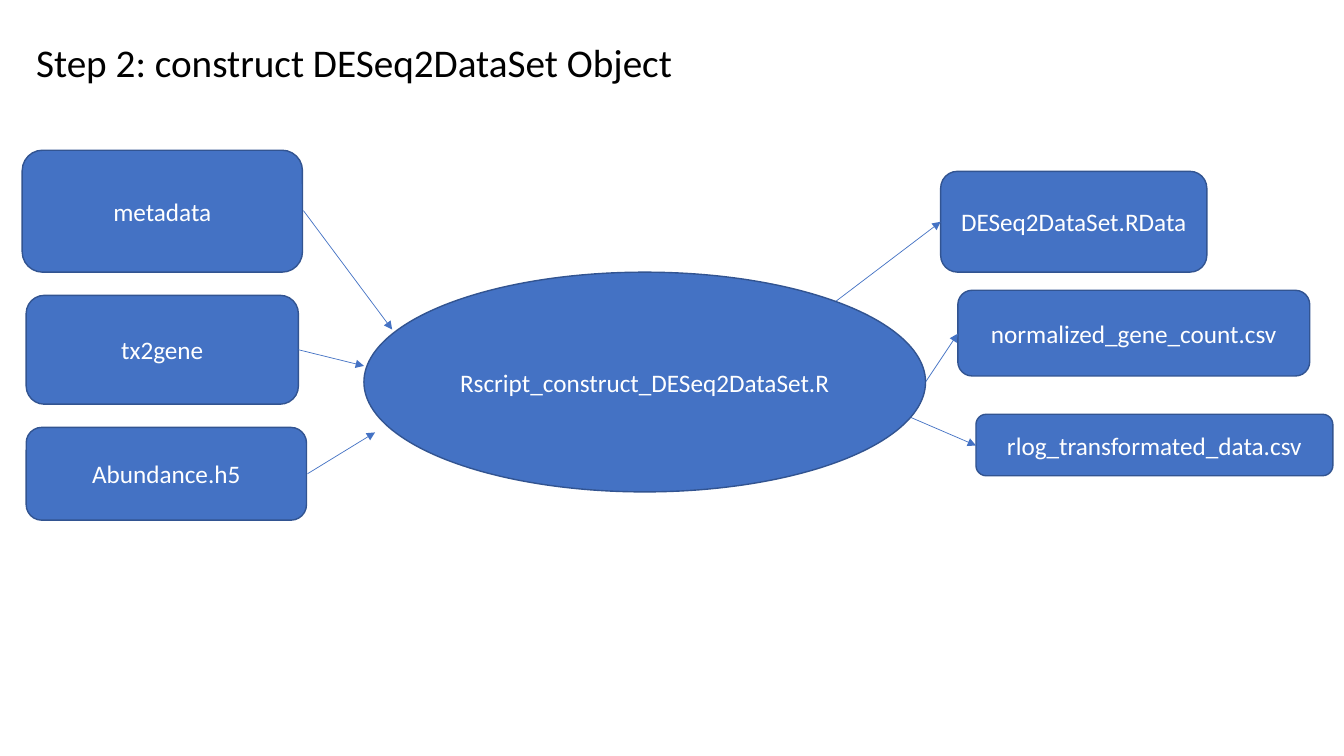
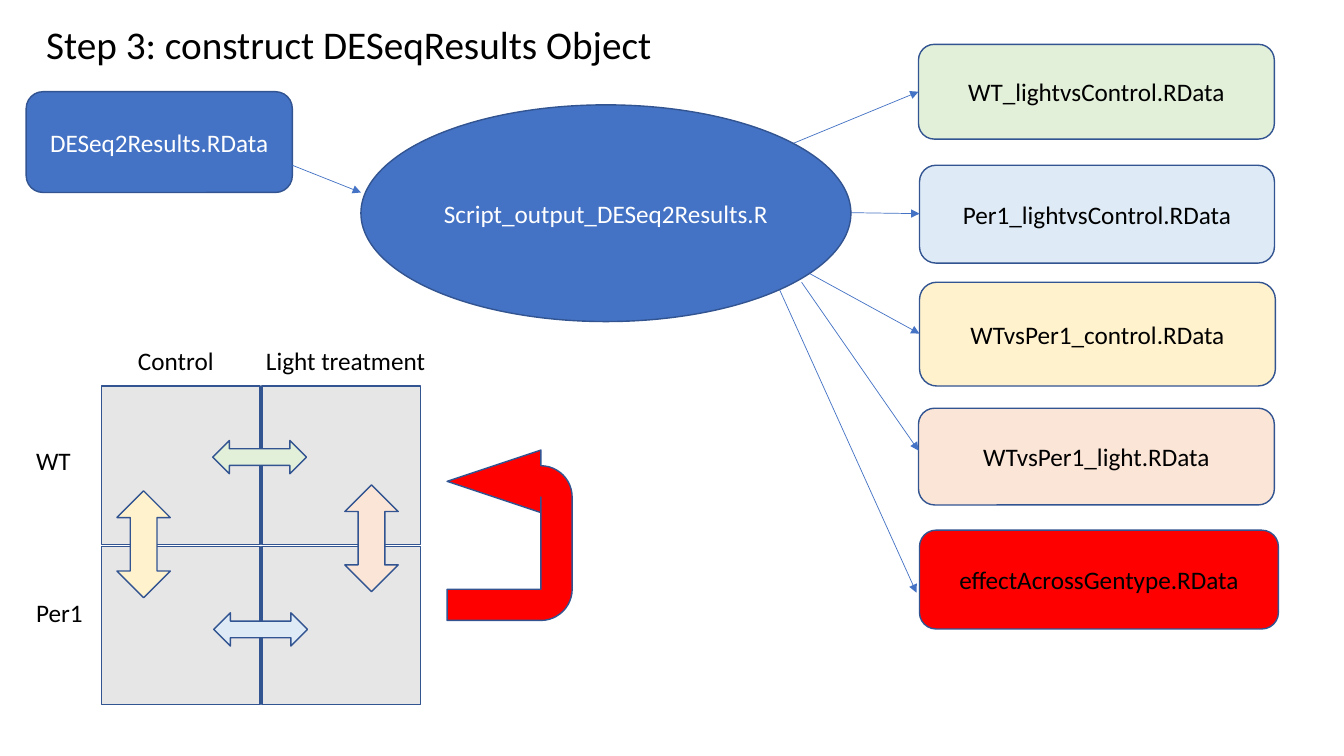
from pptx import Presentation
from pptx.dml.color import RGBColor
from pptx.enum.shapes import MSO_CONNECTOR, MSO_SHAPE
from pptx.enum.text import MSO_ANCHOR, MSO_AUTO_SIZE, PP_ALIGN
from pptx.oxml.ns import qn
from pptx.util import Pt
from lxml.etree import SubElement

EMU_PER_PX = 9144
FONT = "Calibri"

BLACK = RGBColor(0x00, 0x00, 0x00)
WHITE = RGBColor(0xFF, 0xFF, 0xFF)
BLUE = RGBColor(0x44, 0x72, 0xC4)
OUTLINE = RGBColor(0x32, 0x54, 0x91)
GRAY = RGBColor(0xE7, 0xE6, 0xE6)
GREEN = RGBColor(0xE2, 0xF0, 0xD9)
PALE_BLUE = RGBColor(0xDE, 0xEB, 0xF7)
YELLOW = RGBColor(0xFF, 0xF2, 0xCC)
PEACH = RGBColor(0xFB, 0xE5, 0xD6)
RED = RGBColor(0xFF, 0x00, 0x00)


def emu(*lengths):
    return [length * EMU_PER_PX for length in lengths]


def write_text(shape, text, size=18, color=BLACK, align=PP_ALIGN.LEFT,
               anchor=MSO_ANCHOR.TOP, line_spacing=None):
    frame = shape.text_frame
    frame.word_wrap = True
    frame.vertical_anchor = anchor
    paragraph = frame.paragraphs[0]
    paragraph.alignment = align
    paragraph.line_spacing = line_spacing
    run = paragraph.add_run()
    run.text = text
    run.font.name = FONT
    run.font.size = Pt(size)
    run.font.color.rgb = color


def add_title(slide, text, left, top):
    shape = slide.shapes.add_textbox(*emu(left, top, 763, 48))
    write_text(shape, text, size=28, line_spacing=0.9)


def add_label(slide, text, left, top, width):
    shape = slide.shapes.add_textbox(*emu(left, top, width, 40))
    write_text(shape, text)
    shape.text_frame.auto_size = MSO_AUTO_SIZE.SHAPE_TO_FIT_TEXT


def add_figure(slide, kind, bounds, fill=BLUE):
    shape = slide.shapes.add_shape(kind, *emu(*bounds))
    shape.shadow.inherit = False
    shape.fill.solid()
    shape.fill.fore_color.rgb = fill
    shape.line.color.rgb = OUTLINE
    shape.line.width = Pt(1)
    return shape


def add_node(slide, text, bounds, fill=BLUE, kind=MSO_SHAPE.ROUNDED_RECTANGLE):
    shape = add_figure(slide, kind, bounds, fill)
    write_text(shape, text, color=WHITE if fill == BLUE else BLACK,
               align=PP_ALIGN.CENTER, anchor=MSO_ANCHOR.MIDDLE)


def add_arrow(slide, start, end):
    connector = slide.shapes.add_connector(
        MSO_CONNECTOR.STRAIGHT, *emu(*start, *end))
    connector.line.color.rgb = BLUE
    connector.line.width = Pt(0.5)
    SubElement(connector.line._get_or_add_ln(), qn("a:tailEnd"), type="triangle")
    SubElement(connector._element.spPr, qn("a:effectLst"))


def add_flow(slide, files, arrows, script_name, script_bounds):
    for file in files:
        add_node(slide, *file)
    for start, end in arrows:
        add_arrow(slide, start, end)
    add_node(slide, script_name, script_bounds, kind=MSO_SHAPE.OVAL)


def add_comparison_grid(slide):
    left, top, cell, pitch = 101, 383, 157, 159
    for row in range(2):
        for column in range(2):
            add_figure(slide, MSO_SHAPE.RECTANGLE,
                       (left + column * pitch, top + row * pitch, cell, cell), GRAY)
    for label in [("Control", 127, 338, 106), ("Light treatment", 254, 338, 186),
                  ("WT", 26, 437, 57), ("Per1", 26, 588, 101)]:
        add_label(slide, *label)
    for x, y, fill in [(211, 437, GREEN), (212, 608, PALE_BLUE)]:
        add_figure(slide, MSO_SHAPE.LEFT_RIGHT_ARROW, (x, y, 93, 33), fill)
    for x, y, fill in [(116, 487, YELLOW), (342, 481, PEACH)]:
        add_figure(slide, MSO_SHAPE.UP_DOWN_ARROW, (x, y, 53, 106), fill)


def add_return_arrow(slide):
    shape = add_figure(slide, MSO_SHAPE.U_TURN_ARROW, (421, 469, 169, 124), RED)
    for index, value in enumerate([0.25, 0.25, 0.75, 0.4375, 0.75]):
        shape.adjustments[index] = value
    shape.rotation = 90
    shape._element.spPr.find(qn("a:xfrm")).set("flipH", "1")


def build_dataset_slide(slide):
    files = [
        ("metadata", (22, 149, 278, 121)),
        ("tx2gene", (26, 293, 270, 108)),
        ("Abundance.h5", (26, 424, 278, 92)),
        ("DESeq2DataSet.RData", (933, 170, 264, 100)),
        ("normalized_gene_count.csv", (950, 288, 349, 85)),
        ("rlog_transformated_data.csv", (968, 411, 354, 61)),
    ]
    arrows = [
        ((301, 209), (389, 327)),
        ((296, 347), (361, 363)),
        ((305, 470), (372, 429)),
        ((825, 302), (933, 220)),
        ((918, 379), (950, 331)),
        ((859, 395), (968, 442)),
    ]
    add_flow(slide, files, arrows,
             "Rscript_construct_DESeq2DataSet.R", (361, 270, 557, 218))
    add_title(slide, "Step 2: construct DESeq2DataSet Object", 26, 38)


def build_results_slide(slide):
    files = [
        ("DESeq2Results.RData", (26, 91, 264, 100)),
        ("WT_lightvsControl.RData", (911, 44, 353, 94), GREEN),
        ("Per1_lightvsControl.RData", (912, 164, 352, 97), PALE_BLUE),
        ("WTvsPer1_control.RData", (912, 280, 353, 103), YELLOW),
        ("WTvsPer1_light.RData", (911, 405, 353, 96), PEACH),
        ("effectAcrossGentype.RData", (912, 526, 356, 98), RED),
    ]
    arrows = [
        ((290, 164), (358, 191)),
        ((734, 164), (911, 91)),
        ((844, 211), (912, 212)),
        ((742, 238), (912, 331)),
        ((795, 280), (911, 447)),
        ((773, 287), (909, 588)),
    ]
    add_flow(slide, files, arrows,
             "Script_output_DESeq2Results.R", (358, 104, 486, 215))
    add_comparison_grid(slide)
    add_return_arrow(slide)
    add_title(slide, "Step 3: construct DESeqResults Object", 36, 20)


def main():
    presentation = Presentation()
    presentation.slide_width, presentation.slide_height = emu(1333, 750)
    blank = presentation.slide_layouts[6]
    for build in (build_dataset_slide, build_results_slide):
        build(presentation.slides.add_slide(blank))
    presentation.save("out.pptx")


if __name__ == "__main__":
    main()
